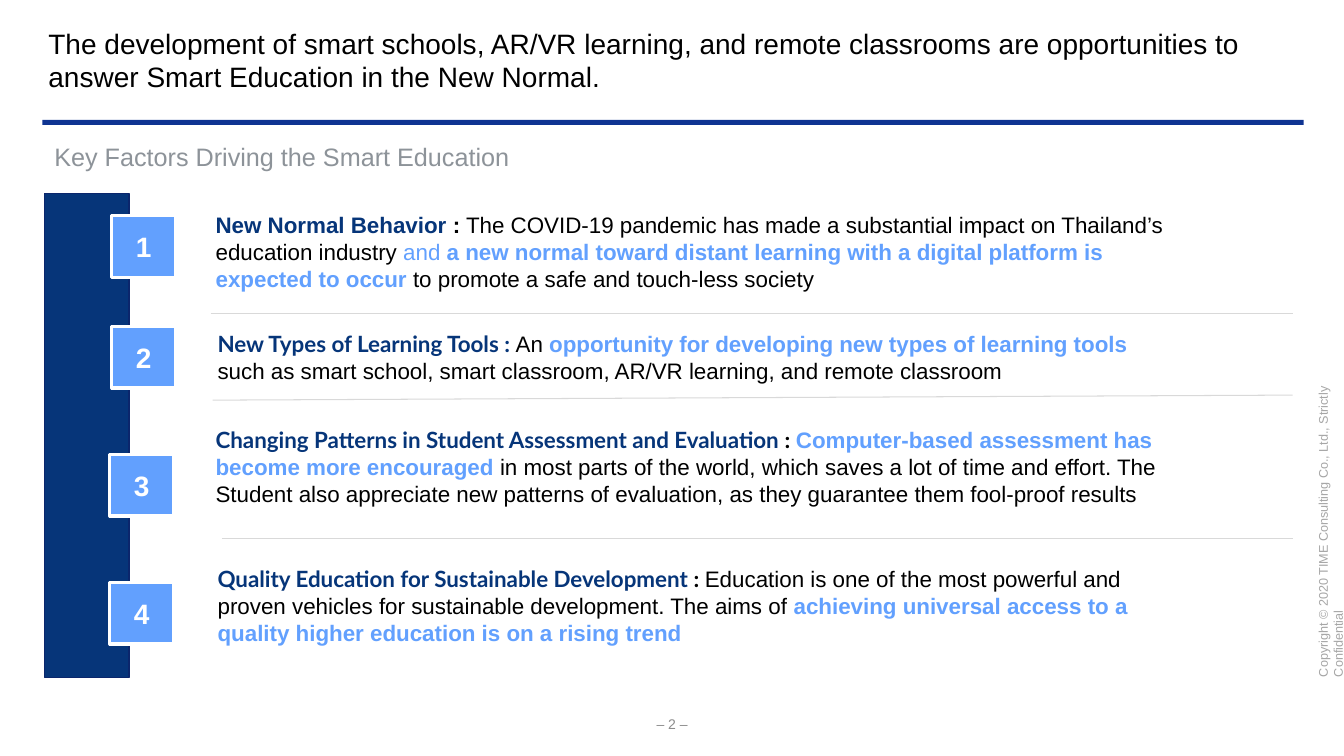
"""Build the slide on key factors driving smart education."""
from dataclasses import dataclass

from lxml import etree
from pptx import Presentation
from pptx.dml.color import RGBColor
from pptx.enum.shapes import MSO_CONNECTOR, MSO_SHAPE
from pptx.enum.text import MSO_ANCHOR, MSO_AUTO_SIZE, PP_ALIGN
from pptx.oxml.ns import qn
from pptx.util import Inches, Pt

RECTANGLE = MSO_SHAPE.RECTANGLE
STRAIGHT = MSO_CONNECTOR.STRAIGHT
TOP, MIDDLE = MSO_ANCHOR.TOP, MSO_ANCHOR.MIDDLE
LEFT, CENTER = PP_ALIGN.LEFT, PP_ALIGN.CENTER
NO_AUTOFIT = MSO_AUTO_SIZE.NONE


@dataclass(frozen=True)
class Theme:
    """Colours, fonts and type sizes."""
    black: str = "000000"
    white: str = "FFFFFF"
    navy: str = "063579"
    navy_edge: str = "0B266C"
    rule: str = "0F3492"
    sky: str = "62A0FE"
    divider: str = "D9D9D9"
    subtitle: str = "8D9399"
    page: str = "8C8C8C"
    copyright: str = "A6A6A6"
    sans: str = "Arial"
    heading: str = "Lato"
    title_size: int = 20
    subtitle_size: int = 18
    body_size: int = 16
    page_size: int = 10
    copyright_size: int = 9


THEME = Theme()

STYLES = {
    "plain": (THEME.sans, THEME.black, False),
    "accent": (THEME.sans, THEME.sky, True),
    "light accent": (THEME.sans, THEME.sky, False),
    "sans heading": (THEME.sans, THEME.navy, True),
    "sans colon": (THEME.sans, THEME.black, True),
    "heading": (THEME.heading, THEME.navy, True),
    "colon": (THEME.heading, THEME.black, True),
    "subtitle": (THEME.sans, THEME.subtitle, False),
    "number": (THEME.sans, THEME.white, True),
    "page": (THEME.sans, THEME.page, False),
    "copyright": (THEME.sans, THEME.copyright, False),
}

TITLE = ("The development of smart schools, AR/VR learning, and remote classrooms "
         "are opportunities to answer Smart Education in the New Normal.")
SUBTITLE = "Key Factors Driving the Smart Education"
PAGE = "– 2 –"
COPYRIGHT = "Copyright © 2020 TIME Consulting Co., Ltd., Strictly Confidential"

FACTORS = [
    {"number_at": (1.11, 2.14), "text_at": (2.04, 2.05, 9.71, 0.91), "runs": [
        ("New Normal Behavior ", "sans heading"),
        (":", "sans colon"),
        (" The COVID-19 pandemic has made a substantial impact on Thailand’s "
         "education industry ", "plain"),
        ("and ", "light accent"),
        ("a new normal toward distant learning with a digital platform is "
         "expected to occur", "accent"),
        (" to promote a safe and touch-less society", "plain")]},
    {"number_at": (1.11, 3.24), "text_at": (2.06, 3.23, 9.7, 0.64), "runs": [
        ("New Types of Learning Tools : ", "heading"),
        ("An ", "plain"),
        ("opportunity for developing new types of learning tools ", "accent"),
        ("such as smart school, smart classroom, AR/VR learning, and remote "
         "classroom", "plain")]},
    {"number_at": (1.09, 4.51), "text_at": (2.04, 4.18, 9.71, 0.91), "runs": [
        ("Changing Patterns in Student Assessment and Evaluation ", "heading"),
        (": ", "colon"),
        ("Computer-based assessment has become more encouraged ", "accent"),
        ("in most parts of the world, which saves a lot of time and effort. The "
         "Student also appreciate new patterns of evaluation, as they guarantee "
         "them fool-proof results", "plain")]},
    {"number_at": (1.09, 5.78), "text_at": (2.06, 5.56, 9.71, 0.91), "runs": [
        ("Quality Education for Sustainable Development ", "heading"),
        (": ", "colon"),
        ("Education is one of the most powerful and proven vehicles for "
         "sustainable development. The aims of ", "plain"),
        ("achieving universal access to a quality higher education is on a "
         "rising trend", "accent")]},
]
NUMBER_SIZE = (0.63, 0.61)
DIVIDER_END = 12.82
DIVIDERS = [(2.09, 3.11, 3.11), (2.11, 3.97, 3.92), (2.2, 5.34, 5.34)]


def color(code):
    """Return the colour for a hex code."""
    return RGBColor.from_string(code)


def inches(values):
    """Return the lengths of a box in inches."""
    return [Inches(value) for value in values]


def write(shape, runs, size, align=LEFT, anchor=TOP, leading=None):
    """Write styled runs as the one paragraph of a shape."""
    frame = shape.text_frame
    frame.auto_size = NO_AUTOFIT
    frame.word_wrap = True
    frame.vertical_anchor = anchor
    paragraph = frame.paragraphs[0]
    paragraph.alignment = align
    if leading:
        paragraph.line_spacing = Pt(size * leading)
    for words, style in runs:
        run = paragraph.add_run()
        run.text = words
        font_name, code, bold = STYLES[style]
        run.font.name = font_name
        run.font.size = Pt(size)
        run.font.bold = bold
        run.font.color.rgb = color(code)


def add_text(slide, box, runs, size, **layout):
    """Add a text box and return it."""
    text_box = slide.shapes.add_textbox(*inches(box))
    write(text_box, runs, size, **layout)
    return text_box


def add_block(slide, box, fill, edge=None, edge_width=1):
    """Add a filled rectangle and return it."""
    block = slide.shapes.add_shape(RECTANGLE, *inches(box))
    block.shadow.inherit = False
    block.fill.solid()
    block.fill.fore_color.rgb = color(fill)
    if edge:
        block.line.color.rgb = color(edge)
        block.line.width = Pt(edge_width)
    else:
        block.line.fill.background()
    return block


def add_divider(slide, left, start, end):
    """Add a thin line between two factors."""
    divider = slide.shapes.add_connector(
        STRAIGHT, *inches((left, start, DIVIDER_END, end)))
    divider.line.color.rgb = color(THEME.divider)
    divider.line.width = Pt(0.75)
    etree.SubElement(divider._element.spPr, qn("a:effectLst"))


def main():
    """Lay out the slide and save it."""
    deck = Presentation()
    deck.slide_width, deck.slide_height = Inches(13.33), Inches(7.5)
    slide = deck.slides.add_slide(deck.slide_layouts[5])

    title = slide.shapes.title
    title.left, title.top, title.width, title.height = inches((0.38, 0.21, 12.57, 0.77))
    write(title, [(TITLE, "plain")], THEME.title_size, leading=1.2)

    add_text(slide, (6.17, 7.08, 0.99, 0.21), [(PAGE, "page")], THEME.page_size,
             align=CENTER, anchor=MIDDLE)
    notice = add_text(slide, (11.36, 4.93, 3.52, 0.25), [(COPYRIGHT, "copyright")],
                      THEME.copyright_size)
    notice.rotation = 270

    add_block(slide, (0.42, 1.19, 12.51, 0.05), THEME.rule)
    add_text(slide, (0.44, 1.35, 5.37, 0.4), [(SUBTITLE, "subtitle")],
             THEME.subtitle_size, leading=1.2)
    add_block(slide, (0.44, 1.92, 0.84, 4.8), THEME.navy, THEME.navy_edge)

    for number, factor in enumerate(FACTORS, 1):
        badge = add_block(slide, factor["number_at"] + NUMBER_SIZE, THEME.sky,
                          THEME.white, 2.25)
        write(badge, [(str(number), "number")], THEME.title_size,
              align=CENTER, anchor=MIDDLE)
        add_text(slide, factor["text_at"], factor["runs"], THEME.body_size, leading=1.2)

    for divider in DIVIDERS:
        add_divider(slide, *divider)

    deck.save("out.pptx")


if __name__ == "__main__":
    main()
